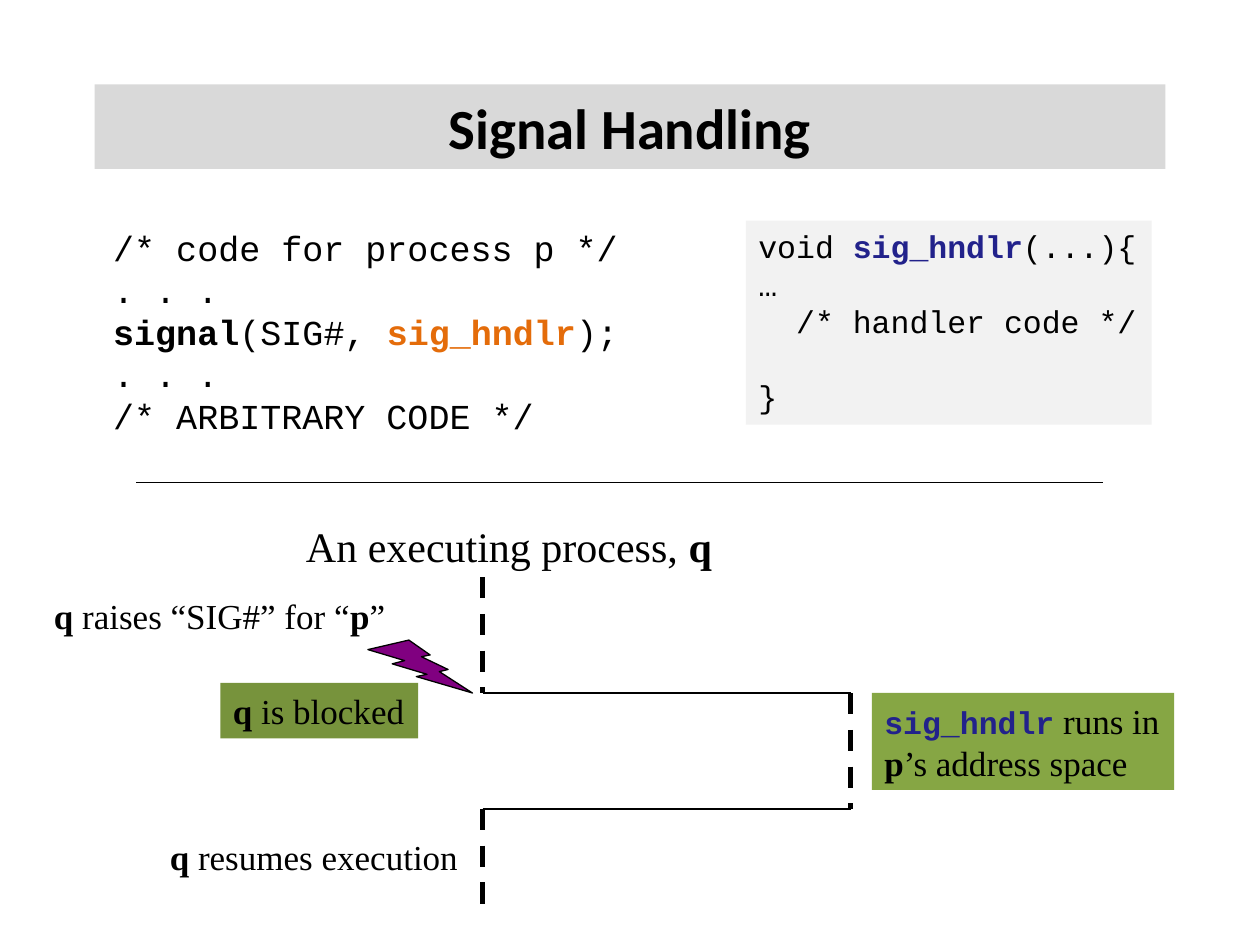
from dataclasses import dataclass

from lxml import etree
from pptx import Presentation
from pptx.dml.color import RGBColor
from pptx.enum.dml import MSO_LINE
from pptx.enum.shapes import MSO_CONNECTOR, MSO_SHAPE
from pptx.enum.text import MSO_ANCHOR, MSO_AUTO_SIZE, PP_ALIGN
from pptx.oxml.ns import qn
from pptx.util import Inches, Pt

DASH = MSO_LINE.DASH
STRAIGHT = MSO_CONNECTOR.STRAIGHT
BOLT = MSO_SHAPE.LIGHTNING_BOLT
MIDDLE = MSO_ANCHOR.MIDDLE
NO_FIT = MSO_AUTO_SIZE.NONE
FIT_SHAPE = MSO_AUTO_SIZE.SHAPE_TO_FIT_TEXT
CENTER = PP_ALIGN.CENTER
LEFT = PP_ALIGN.LEFT


@dataclass(frozen=True)
class Theme:
    heading: str = "Calibri"
    code: str = "Courier New"
    prose: str = "Times New Roman"
    title_size: float = 32.4
    caption_size: float = 24
    body_size: float = 20
    small_size: float = 18
    thin: float = 0.75
    thick: float = 3
    black: str = "000000"
    white: str = "FFFFFF"
    title_band: str = "D9D9D9"
    code_panel: str = "F2F2F2"
    orange: str = "E46C0A"
    navy: str = "22228B"
    purple: str = "800080"
    green: str = "86A644"
    dark_green: str = "77933C"


@dataclass(frozen=True)
class Span:
    text: str
    bold: bool = False
    color: str = ""
    font: str = ""
    size: float = 0


@dataclass(frozen=True)
class Line:
    spans: tuple
    indent: float = 0
    space_before: float = 0


def line(*spans, **layout):
    parts = tuple(Span(span) if isinstance(span, str) else span for span in spans)
    return Line(parts, **layout)


def bold(text, **style):
    return Span(text, bold=True, **style)


def paint(fill, color):
    fill.solid()
    fill.fore_color.rgb = RGBColor.from_string(color)


class SlideBuilder:
    def __init__(self, slide, theme):
        self.slide = slide
        self.theme = theme

    def set_font(self, font, name, size, color):
        font.name = name
        font.size = Pt(size)
        font.color.rgb = RGBColor.from_string(color)

    def title(self, text, left, top, width, height):
        box = self.slide.shapes.title
        box.left, box.top = Inches(left), Inches(top)
        box.width, box.height = Inches(width), Inches(height)
        paint(box.fill, self.theme.title_band)
        frame = box.text_frame
        frame.text = text
        frame.auto_size = NO_FIT
        frame.vertical_anchor = MIDDLE
        para = frame.paragraphs[0]
        para.alignment = CENTER
        para.font.bold = True
        self.set_font(para.font, self.theme.heading, self.theme.title_size, self.theme.black)

    def text(self, lines, left, top, width, height, font, size, fill=None, wrap=False):
        box = self.slide.shapes.add_textbox(
            Inches(left), Inches(top), Inches(width), Inches(height))
        if fill:
            paint(box.fill, fill)
        frame = box.text_frame
        frame.word_wrap = wrap
        frame.auto_size = FIT_SHAPE
        for index, content in enumerate(lines):
            para = frame.add_paragraph() if index else frame.paragraphs[0]
            para.alignment = LEFT
            self.set_font(para.font, font, size, self.theme.black)
            if content.indent:
                para._p.get_or_add_pPr().set("marL", str(Inches(content.indent)))
            if content.space_before:
                para.space_before = Pt(content.space_before)
            for span in content.spans:
                self.span(para, span)

    def span(self, para, span):
        run = para.add_run()
        run.text = span.text
        if span.bold:
            run.font.bold = True
        if span.color:
            run.font.color.rgb = RGBColor.from_string(span.color)
        if span.font:
            run.font.name = span.font
        if span.size:
            run.font.size = Pt(span.size)

    def rule(self, start, end, dashed=False):
        connector = self.slide.shapes.add_connector(
            STRAIGHT, *(Inches(value) for value in (*start, *end)))
        connector.line.color.rgb = RGBColor.from_string(self.theme.black)
        connector.line.width = Pt(self.theme.thick if dashed else self.theme.thin)
        if dashed:
            connector.line.dash_style = DASH
        etree.SubElement(connector._element.spPr, qn("a:effectLst"))

    def bolt(self, left, top, width, height):
        shape = self.slide.shapes.add_shape(
            BOLT, Inches(left), Inches(top), Inches(width), Inches(height))
        shape.shadow.inherit = False
        paint(shape.fill, self.theme.purple)
        shape.line.color.rgb = RGBColor.from_string(self.theme.black)
        shape.line.width = Pt(self.theme.thin)


def main():
    deck = Presentation()
    deck.slide_width, deck.slide_height = Inches(10), Inches(7.5)
    theme = Theme()
    page = SlideBuilder(deck.slides.add_slide(deck.slide_layouts[5]), theme)

    page.title("Signal Handling", 0.75, 0.67, 8.5, 0.67)
    page.text([
        line("/* code for process p */"),
        line(". . ."),
        line(bold("signal"), "(SIG#, ", bold("sig_hndlr", color=theme.orange), ");"),
        line(". . ."),
        line("/* ARBITRARY CODE */"),
    ], 0.8, 1.75, 4.78, 1.78, theme.code, theme.body_size, theme.white, wrap=True)
    page.text([
        line("void ", bold("sig_hndlr", color=theme.navy), "(...){"),
        line("…"),
        line("/* handler code */", indent=0.3),
        line("}", space_before=21),
    ], 5.92, 1.75, 3.22, 1.62, theme.code, theme.small_size, theme.code_panel)
    page.rule((1.08, 3.83), (8.75, 3.83))

    process_x, handler_x = 3.83, 6.75
    start_y, signal_y, return_y, end_y = 4.58, 5.5, 6.42, 7.25
    for x, top, bottom in ((process_x, start_y, signal_y),
                           (handler_x, signal_y, return_y),
                           (process_x, return_y, end_y)):
        page.rule((x, top), (x, bottom), dashed=True)
    for y in (signal_y, return_y):
        page.rule((process_x, y), (handler_x, y))
    page.bolt(2.92, 5.08, 0.83, 0.42)

    page.text([line("An executing process, ", bold("q"))],
              2.33, 4.08, 3.45, 0.51, theme.prose, theme.caption_size)
    handler_name = bold("sig_hndlr", color=theme.navy, font=theme.code, size=theme.small_size)
    notes = (
        ([line(bold("q"), " raises “SIG#” for “", bold("p"), "”")],
         (0.33, 4.67, 2.92, 0.44), None),
        ([line(handler_name, " runs in"), line(bold("p"), "’s address space")],
         (6.92, 5.5, 2.4, 0.77), theme.green),
        ([line(bold("q"), " is blocked")], (1.75, 5.42, 1.57, 0.44), theme.dark_green),
        ([line(bold("q"), " resumes execution")], (1.25, 6.58, 2.5, 0.44), None),
    )
    for lines, place, fill in notes:
        page.text(lines, *place, theme.prose, theme.body_size, fill)

    deck.save("out.pptx")


if __name__ == "__main__":
    main()
